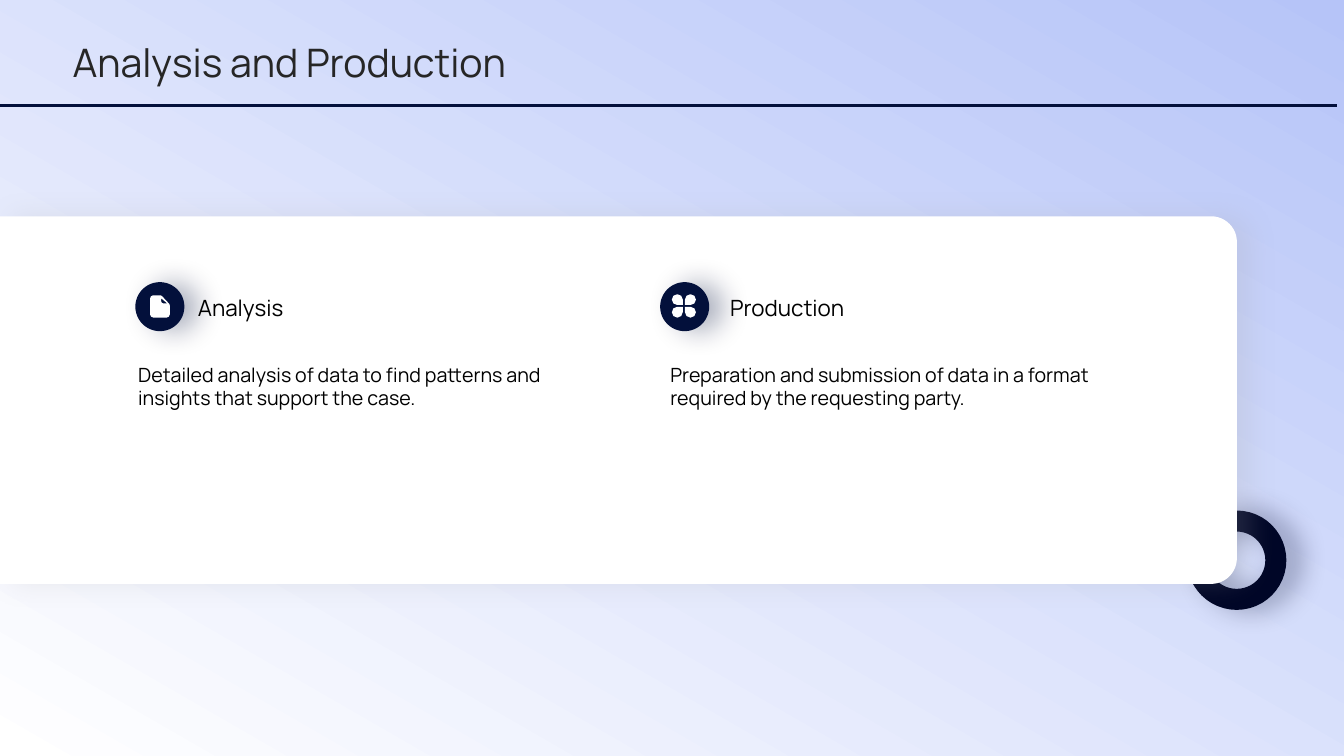
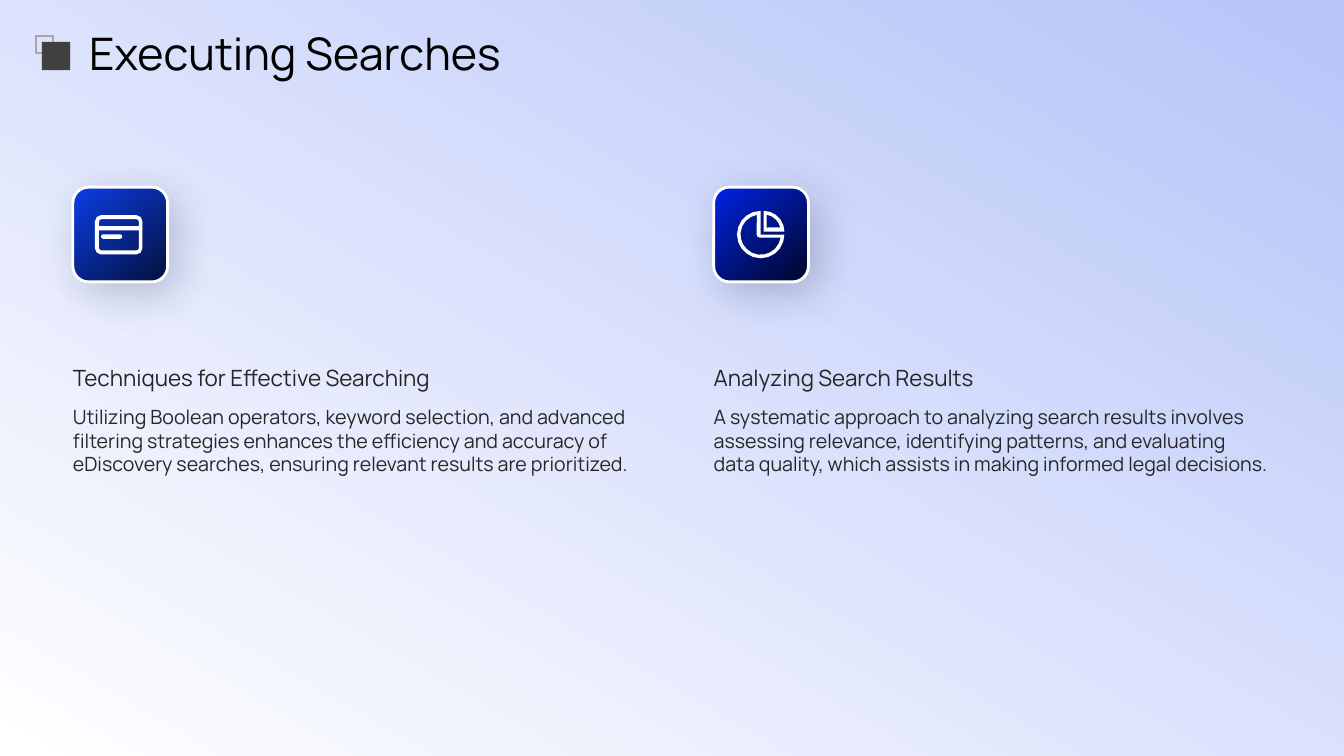
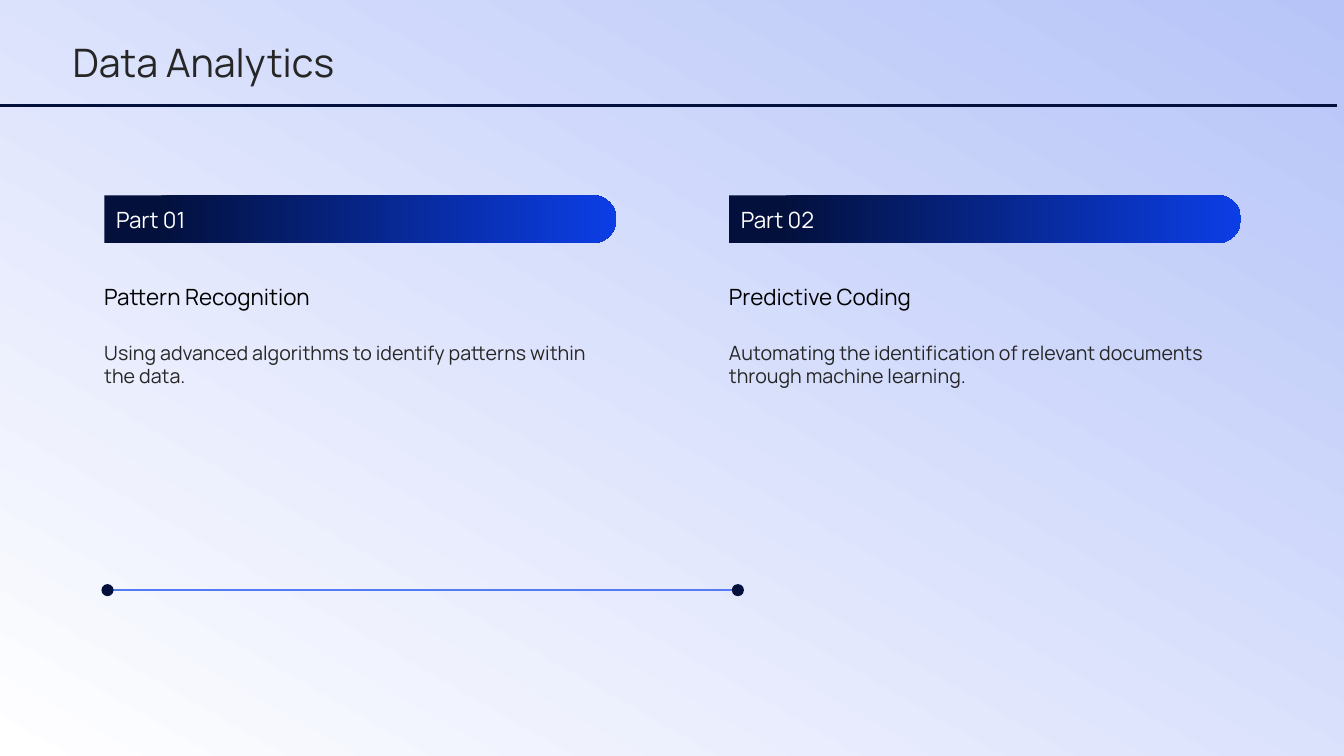
import math

import pptx
import pptx.util
import pptx.dml.color
import pptx.enum.shapes
import pptx.enum.text
import pptx.oxml.ns
from lxml import etree

# Shared style: one grid unit is a hundredth of the slide width
WIDTH, HEIGHT = 13.33, 7.5
UNIT = WIDTH / 100
ROWS = HEIGHT / UNIT
FONT = "Manrope"
COLORS = {
    "sky": "B6C4F8", "white": "FFFFFF", "black": "000000", "text": "262626",
    "navy": "03103B", "night": "000627", "blue": "0C3EE6", "royal": "0023E3",
    "link": "547AF6", "grey": "A6A6A6", "dark": "404040",
}
SHAPE = pptx.enum.shapes.MSO_SHAPE
ANCHOR = pptx.enum.text.MSO_ANCHOR


def u(n):
    return pptx.util.Inches(n * UNIT)


def rgb(name):
    return pptx.dml.color.RGBColor.from_string(COLORS[name])


# Element helpers
def paint(sp, fill=None, line=None, shadow=None):
    """fill: name or (start, from, end, angle); line: (name, pt);
    shadow: (name, opacity, blur, distance, angle)."""
    if fill is None:
        sp.fill.background()
    elif isinstance(fill, str):
        sp.fill.solid()
        sp.fill.fore_color.rgb = rgb(fill)
    else:
        start, offset, end, angle = fill
        sp.fill.gradient()
        sp.fill.gradient_angle = 360 - angle
        stops = sp.fill.gradient_stops
        for stop, name, pos in zip(stops, (start, end), (offset, 1)):
            stop.color.rgb = rgb(name)
            stop.position = pos
    if line:
        sp.line.color.rgb = rgb(line[0])
        sp.line.width = pptx.util.Pt(line[1])
    else:
        sp.line.fill.background()
    sp.shadow.inherit = False
    if shadow:
        add_shadow(sp, *shadow)
    return sp


def add_shadow(sp, name, opacity, blur, distance, angle):
    qn = pptx.oxml.ns.qn
    effects = sp._element.spPr.find(qn("a:effectLst"))
    outer = etree.SubElement(
        effects, qn("a:outerShdw"), blurRad=str(pptx.util.Pt(blur)),
        dist=str(pptx.util.Pt(distance)), dir=str(angle * 60000),
        algn="ctr", rotWithShape="0")
    color = etree.SubElement(outer, qn("a:srgbClr"), val=COLORS[name])
    etree.SubElement(color, qn("a:alpha"), val=str(opacity * 1000))


def add_box(s, kind, x, y, w, h, **style):
    return paint(s.shapes.add_shape(kind, u(x), u(y), u(w), u(h)), **style)


def add_tab(s, x, y, w, h, radius, **style):
    """Bar with its two right corners rounded."""
    sp = add_box(s, SHAPE.ROUND_2_SAME_RECTANGLE,
                 x + (w - h) / 2, y + (h - w) / 2, h, w, **style)
    sp.rotation = 90
    sp.adjustments[0], sp.adjustments[1] = radius, 0


def add_text(s, text, x, y, w, h, size, color="text", anchor=ANCHOR.TOP):
    tf = s.shapes.add_textbox(u(x), u(y), u(w), u(h)).text_frame
    tf.word_wrap = True
    tf.vertical_anchor = anchor
    tf.margin_left = tf.margin_right = tf.margin_top = tf.margin_bottom = 0
    r = tf.paragraphs[0].add_run()
    r.text = text
    r.font.name, r.font.size = FONT, pptx.util.Pt(size)
    r.font.color.rgb = rgb(color)


def add_line(s, x1, x2, y, color, width):
    cn = s.shapes.add_connector(
        pptx.enum.shapes.MSO_CONNECTOR.STRAIGHT, u(x1), u(y), u(x2), u(y))
    cn.line.color.rgb = rgb(color)
    cn.line.width = pptx.util.Pt(width)
    etree.SubElement(cn._element.spPr, pptx.oxml.ns.qn("a:effectLst"))


def add_icon(s, x, y, contours):
    """White outline; contour points are in hundredths of an inch."""
    fb = None
    for contour in contours:
        pts = [(round(px * 10), round(py * 10)) for px, py in contour]
        if fb is None:
            fb = s.shapes.build_freeform(*pts[0], scale=914.4)
        else:
            fb.move_to(*pts[0])
        fb.add_line_segments(pts[1:], close=True)
    paint(fb.convert_to_shape(u(x), u(y)), fill="white")


# Icon outlines
def rounded(corners, steps=2):
    """Polygon from (x, y, radius) corners."""
    pts = []
    for i, (x, y, radius) in enumerate(corners):
        if not radius:
            pts.append((x, y))
            continue
        ends = []
        for nx, ny, _ in (corners[i - 1], corners[(i + 1) % len(corners)]):
            t = radius / math.hypot(nx - x, ny - y)
            ends.append((x + (nx - x) * t, y + (ny - y) * t))
        (ax, ay), (bx, by) = ends
        for k in range(steps + 1):
            a = math.pi / 2 * k / steps
            p, q = 1 - math.sin(a), 1 - math.cos(a)
            pts.append((x + (ax - x) * p + (bx - x) * q,
                        y + (ay - y) * p + (by - y) * q))
    return pts


def block(x1, y1, x2, y2, tl, tr, br, bl):
    return rounded([(x1, y1, tl), (x2, y1, tr), (x2, y2, br), (x1, y2, bl)])


def arc(cx, cy, radius, start, end):
    steps = round((end - start) / 18)
    angles = (math.radians(start + (end - start) * k / steps)
              for k in range(steps + 1))
    return [(cx + radius * math.cos(a), cy + radius * math.sin(a))
            for a in angles]


def page_icon():
    return [
        rounded([(0, 0, 3), (11, 0, 1), (19.5, 9, 1), (19.5, 22, 3),
                 (0, 22, 3)]),
        rounded([(11, 3, 0), (11, 8, 2), (17, 8, 0)]),
    ]


def clover_icon():
    petals = []
    for row in range(2):
        for col in range(2):
            radii = [5.25] * 4
            radii[((2, 3), (1, 0))[row][col]] = 0
            x, y = 13 * col, 12.5 * row
            petals.append(block(x, y, x + 10.8, y + 10.6, *radii))
    return petals


def card_icon():
    return [
        block(0, 0, 47, 39, 6, 6, 6, 6),
        block(4, 4, 43.5, 11, 2.5, 2.5, 0, 0),
        block(4, 15, 43.5, 35, 0, 0, 2.5, 2.5),
        block(6, 19, 27, 23.5, 2.2, 2.2, 2.2, 2.2),
    ]


def pie_icon():
    return [
        arc(24, 24, 23.5, 0, 270) + [(24, 24)],
        arc(24, 24, 20, 8.6, 259)
        + rounded([(20, 5, 0), (20, 27, 3), (43, 27, 0)])[1:-1],
        arc(27, 21, 20.5, 270, 360) + [(27, 21)],
        arc(27, 21, 17, 280, 346) + [(30, 17)],
    ]


# Slide frame
def new_slide(prs):
    s = prs.slides.add_slide(prs.slide_layouts[6])
    add_box(s, SHAPE.RECTANGLE, 0, 0, 100, ROWS, fill=("sky", 0, "white", 120))
    return s


def add_ruled_title(s, text):
    add_text(s, text, 5.4, 2.7, 87.53, 3.83, 28, anchor=ANCHOR.MIDDLE)
    add_line(s, 0, 99.5, 7.88, "navy", 2.25)


# Slides
def analysis_slide(prs):
    s = new_slide(prs)
    add_box(s, SHAPE.OVAL, 89.1, 38.78, 5.83, 5.83, line=("night", 15),
            shadow=("night", 32, 20, 10, 0))
    add_tab(s, 0, 16.1, 92.03, 27.36, 0.07, fill="white",
            shadow=("grey", 20, 20, 10, 0))
    items = [
        ("Analysis", "Detailed analysis of data to find patterns and insights "
         "that support the case.", page_icon(), 1.1, 0.98),
        ("Production", "Preparation and submission of data in a format "
         "required by the requesting party.", clover_icon(), 0.87, 0.9),
    ]
    for i, (head, body, icon, dx, dy) in enumerate(items):
        badge, col = 10.07 + 39.05 * i, 10.28 + 39.6 * i
        add_box(s, SHAPE.OVAL, badge, 21, 3.65, 3.65, fill="navy",
                shadow=("navy", 32, 20, 10, 0))
        add_icon(s, badge + dx, 21 + dy, icon)
        add_text(s, head, col + 4.45, 19.95, 30.15, 5.93, 16, "black",
                 ANCHOR.MIDDLE)
        add_text(s, body, col, 27, 34.65, 12.68, 14, "black")
    add_ruled_title(s, "Analysis and Production")


def searches_slide(prs):
    s = new_slide(prs)
    items = [
        ("Techniques for Effective Searching",
         "Utilizing Boolean operators, keyword selection, and advanced "
         "filtering strategies enhances the efficiency and accuracy of "
         "eDiscovery searches, ensuring relevant results are prioritized.",
         "blue", "navy", card_icon(), 1.65, 2.08),
        ("Analyzing Search Results",
         "A systematic approach to analyzing search results involves "
         "assessing relevance, identifying patterns, and evaluating data "
         "quality, which assists in making informed legal decisions.",
         "royal", "night", pie_icon(), 1.7, 1.73),
    ]
    for i, (head, body, light, deep, icon, dx, dy) in enumerate(items):
        col = 5.42 + 47.68 * i
        add_box(s, SHAPE.ROUNDED_RECTANGLE, col, 13.93, 7.05, 7.05,
                fill=(light, 0.01, deep, 50), line=("white", 2),
                shadow=(deep, 20, 30, 10, 50))
        add_icon(s, col + dx, 13.93 + dy, icon)
        add_text(s, head, col, 23.18, 41.4, 5.93, 16, anchor=ANCHOR.BOTTOM)
        add_text(s, body, col, 30.15, 41.4, 16.58, 14)
    add_text(s, "Executing Searches", 6.63, 2.18, 89.25, 3.53, 32, "black",
             ANCHOR.MIDDLE)
    add_box(s, SHAPE.RECTANGLE, 2.67, 2.67, 1.28, 1.28, line=("grey", 1))
    add_box(s, SHAPE.RECTANGLE, 3.12, 3.12, 2.1, 2.1, fill="dark")


def analytics_slide(prs):
    s = new_slide(prs)
    items = [
        ("Part 01", "Pattern Recognition", "Using advanced algorithms to "
         "identify patterns within the data."),
        ("Part 02", "Predictive Coding", "Automating the identification of "
         "relevant documents through machine learning."),
    ]
    for i, (part, head, body) in enumerate(items):
        col = 7.76 + 46.48 * i
        add_tab(s, col, 14.53, 38.1, 3.56, 0.5,
                fill=("navy", 0.1, "blue", 270))
        add_text(s, part, col + 0.88, 15.15, 15.98, 2.33, 16, "white",
                 ANCHOR.MIDDLE)
        add_text(s, head, col, 18.83, 38.1, 6.53, 16, "black", ANCHOR.MIDDLE)
        add_text(s, body, col, 25.35, 38.1, 14.55, 14)

    # Timeline with a dot on each end
    ends, y, dot = (8, 54.9), 43.92, 0.9
    add_line(s, *ends, y, "link", 1.5)
    for x in ends:
        add_box(s, SHAPE.OVAL, x - dot / 2, y - dot / 2, dot, dot, fill="navy")
    add_ruled_title(s, "Data Analytics")


def main():
    prs = pptx.Presentation()
    prs.slide_width = pptx.util.Inches(WIDTH)
    prs.slide_height = pptx.util.Inches(HEIGHT)
    analysis_slide(prs)
    searches_slide(prs)
    analytics_slide(prs)
    prs.save("out.pptx")


if __name__ == "__main__":
    main()
